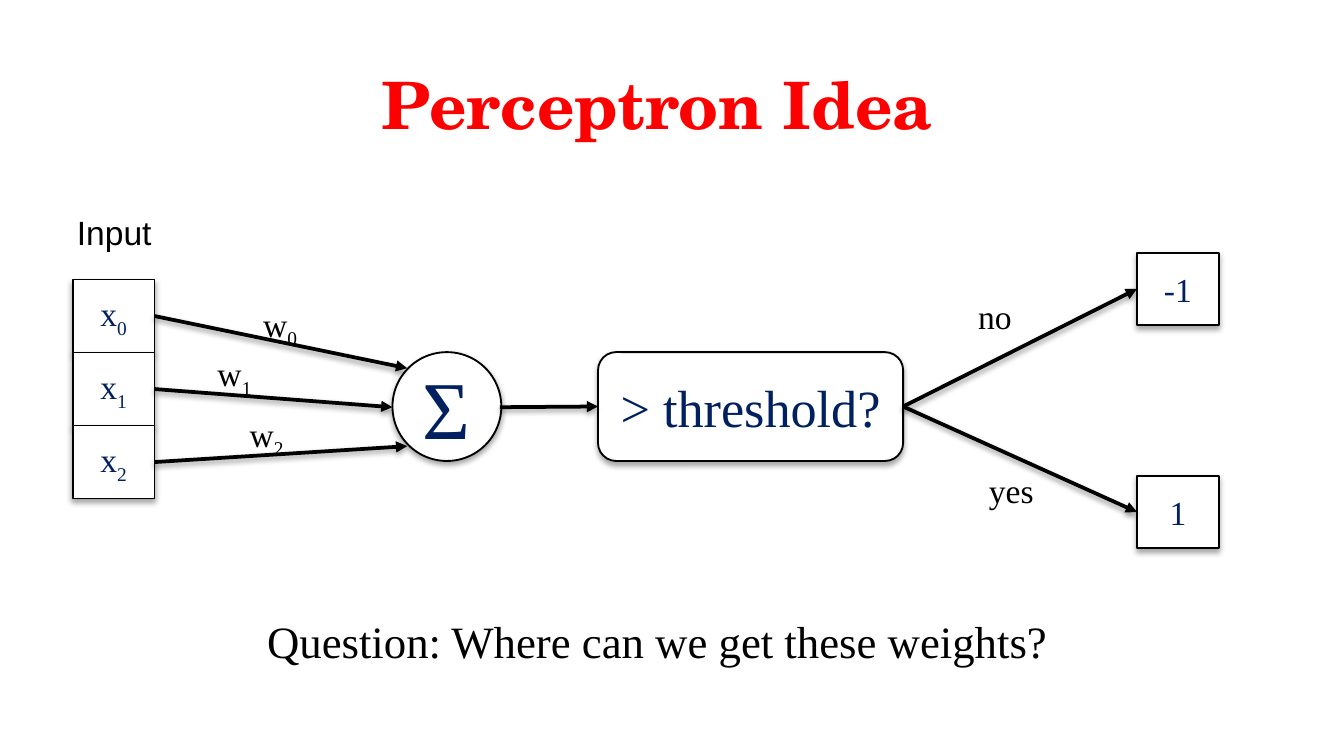
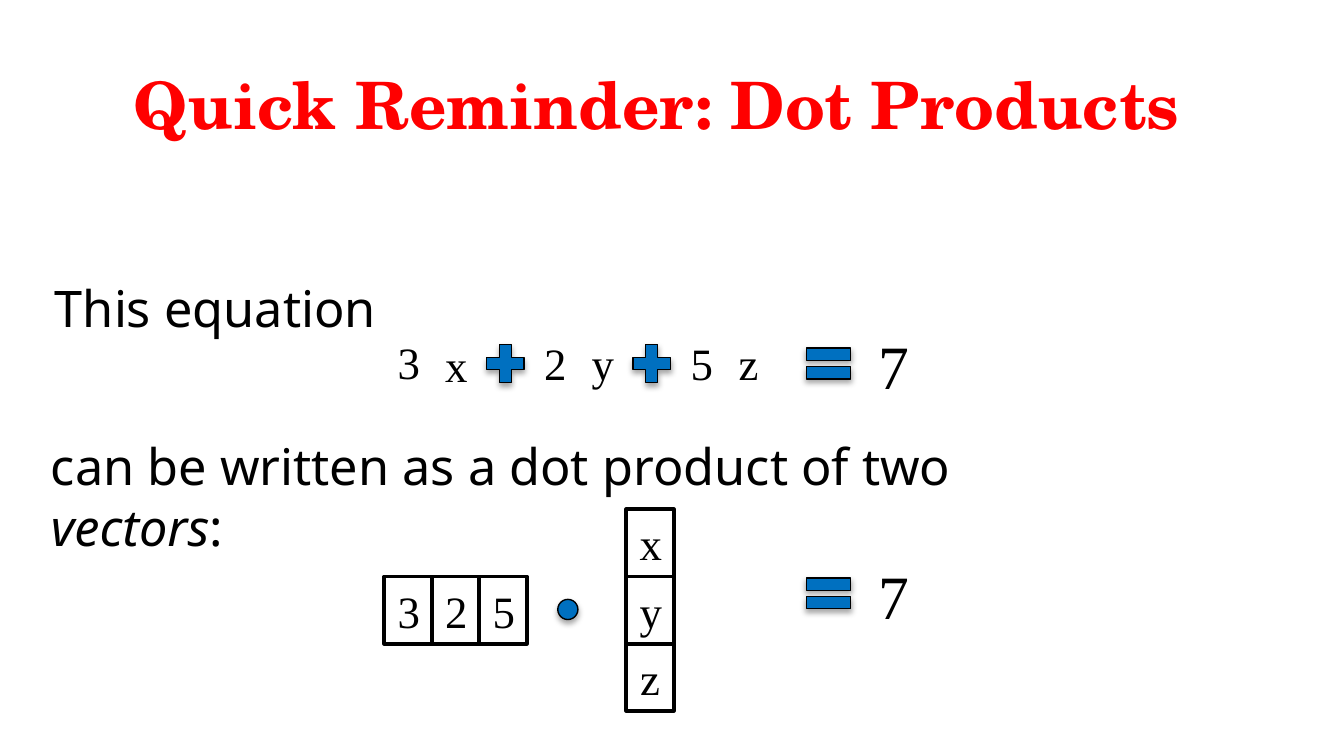
import pptx
import pptx.util
import pptx.dml.color
import pptx.enum.shapes
import pptx.enum.text
import pptx.oxml
import pptx.oxml.ns
from lxml import etree

inch = pptx.util.Inches
pt = pptx.util.Pt
hue = pptx.dml.color.RGBColor.from_string
kinds = pptx.enum.shapes.MSO_SHAPE
wire = pptx.enum.shapes.MSO_CONNECTOR.STRAIGHT
mid = pptx.enum.text.MSO_ANCHOR.MIDDLE
aligns = pptx.enum.text.PP_ALIGN
tag = pptx.oxml.ns.qn

BLACK, WHITE, RED, NAVY, BLUE = "000000", "FFFFFF", "FF0000", "002060", "0070C0"
SERIF = "Times New Roman"
shaded = []


def put(pool, kind, box, runs=(), size=18, color=BLACK, font=SERIF,
        fill=WHITE, line=None, shade=False, center=True):
    box = [inch(v) for v in box]
    if kind is None:
        item = pool.add_textbox(*box)
    else:
        item = pool.add_shape(kind, *box)
        item.shadow.inherit = False
        item.fill.solid()
        item.fill.fore_color.rgb = hue(fill)
        if line:
            item.line.color.rgb = hue(BLACK)
            item.line.width = pt(line)
        else:
            item.line.fill.background()
        item.text_frame.vertical_anchor = mid
    if shade:
        shaded.append((item, 35000, 1.8))
    item.text_frame.word_wrap = True
    para = item.text_frame.paragraphs[0]
    para.alignment = aligns.CENTER if center else aligns.LEFT
    for text, style in runs:
        run = para.add_run()
        run.text = text
        look = {"size": pt(size), "name": font}
        if style == "italic":
            look["italic"] = True
        for key, value in look.items():
            setattr(run.font, key, value)
        run.font.color.rgb = hue(color)
        if style == "sub":
            run.font._element.set("baseline", "-25000")
    return item


def link(pool, start, end, tail=None, head=None):
    line = pool.add_connector(wire, *[inch(v) for v in (*start, *end)])
    if tail:
        line.begin_connect(tail, 3)
    if head:
        line.end_connect(head, 1)
    line.line.color.rgb = hue(BLACK)
    line.line.width = pt(2)
    etree.SubElement(line.line._get_or_add_ln(), tag("a:tailEnd"), type="triangle")
    etree.SubElement(line._element.spPr, tag("a:effectLst"))
    shaded.append((line, 38000, 1.6))


deck = pptx.Presentation()
deck.slide_width = inch(10)
deck.slide_height = deck.slide_width * 9 // 16

pages = []
for text in ("Perceptron Idea", "Quick Reminder: Dot Products"):
    page = deck.slides.add_slide(deck.slide_layouts[5])
    title = page.shapes.title
    spot = {"left": 0.28, "top": 0.43, "width": 9.22, "height": 0.77}
    for key, value in spot.items():
        setattr(title, key, inch(value))
    title.text_frame.text = text
    title.text_frame.auto_size = pptx.enum.text.MSO_AUTO_SIZE.NONE
    title.text_frame.vertical_anchor = pptx.enum.text.MSO_ANCHOR.TOP
    para = title.text_frame.paragraphs[0]
    para.alignment = aligns.CENTER
    font = para.runs[0].font
    for key, value in {"name": "TeX Gyre Schola", "size": pt(35), "bold": True}.items():
        setattr(font, key, value)
    font.color.rgb = hue(RED)
    pages.append(page.shapes)

pool = pages[0]
node = {"color": NAVY, "line": 1, "shade": True}
step = 1.63 / 3
cells = [
    put(pool, kinds.RECTANGLE, (0.54, 2.08 + step * i, 0.61, step),
        [("x", ""), (str(i), "sub")], **node)
    for i in range(3)
]
put(pool, None, (0.12, 1.53, 1.46, 0.4), [("Input", "")], font="Arial")
put(pool, kinds.OVAL, (2.92, 2.62, 0.81, 0.81), [("Σ", "")], size=44, **node)
ends = [(3.03, 2.74), (2.92, 3.03), (3.03, 3.32)]
for cell, end in zip(cells, ends):
    link(pool, (0, 0), end, tail=cell)
for i, (x, y) in enumerate([(1.86, 2.21), (1.52, 2.58), (1.76, 3.03)]):
    put(pool, None, (x, y, 0.67, 0.4), [("w", ""), (str(i), "sub")], center=False)

test = put(pool, kinds.ROUNDED_RECTANGLE, (4.45, 2.62, 2.27, 0.81),
           [("> threshold?", "")], size=28, **node)
link(pool, (3.72, 3.03), (4.45, 3.03), head=test)
for text, y, word, x, top in [("-1", 1.88, "no", 7.18, 2.15), ("1", 3.54, "yes", 7.26, 3.45)]:
    out = put(pool, kinds.RECTANGLE, (8.46, y, 0.61, 0.54), [(text, "")], **node)
    link(pool, (0, 0), (0, 0), tail=test, head=out)
    put(pool, None, (x, top, 0.67, 0.4), [(word, "")], center=False)
put(pool, None, (1.18, 4.52, 7.42, 0.5),
    [("Question: Where can we get these weights?", "")], size=24)

pool = pages[1]
wide, high = 1.06 / 3, 0.5
sign = {"fill": BLUE, "line": 0.75, "shade": True}
prose = {"size": 27, "font": "Noto Sans", "center": False}
put(pool, None, (0.31, 2.01, 3.29, 0.56), [("This equation", "")], **prose)
put(pool, None, (0.28, 3.19, 8.19, 0.56),
    [("can be written as a dot product of two ", ""), ("vectors", "italic"), (":", "")], **prose)
tops = [(2.44, 2.46), (2.45, 2.45), (2.45, 2.45)]
for i, (pair, top) in enumerate(zip(("3x", "2y", "5z"), tops)):
    left = 2.86 + 1.09 * i
    for j in range(2):
        put(pool, kinds.RECTANGLE, (left + wide * j, top[j], wide, high), [(pair[j], "")], size=24)
    if i < 2:
        put(pool, kinds.MATH_PLUS, (left + 0.71, 2.51, 0.38, 0.39), **sign)

row = pool.add_group_shape().shapes
col = pool.add_group_shape().shapes
for i in range(3):
    put(row, kinds.RECTANGLE, (2.86 + wide * i, 4.29, wide, high), [("325"[i], "")], size=24, line=2)
    put(col, kinds.RECTANGLE, (4.66, 3.79 + high * i, wide, high), [("xyz"[i], "")], size=24, line=2)

tail = pool.add_group_shape().shapes
put(tail, kinds.OVAL, (4.15, 4.46, 0.15, 0.15), **sign)
for spot, top in ((pool, 2.51), (tail, 4.22)):
    put(spot, kinds.MATH_EQUAL, (5.94, top, 0.45, 0.39), **sign)
    put(spot, None, (6.44, top - 0.12, 0.68, 0.66), [("7", "")], size=33, center=False)

for item, alpha, gap in shaded:
    glow = etree.SubElement(
        item._element.spPr.find(tag("a:effectLst")), tag("a:outerShdw"),
        blurRad=str(pt(3.1)), dist=str(pt(gap)), dir="5400000", rotWithShape="0")
    tint = etree.SubElement(glow, tag("a:srgbClr"), val=BLACK)
    etree.SubElement(tint, tag("a:alpha"), val=str(alpha))

deck.save("out.pptx")
